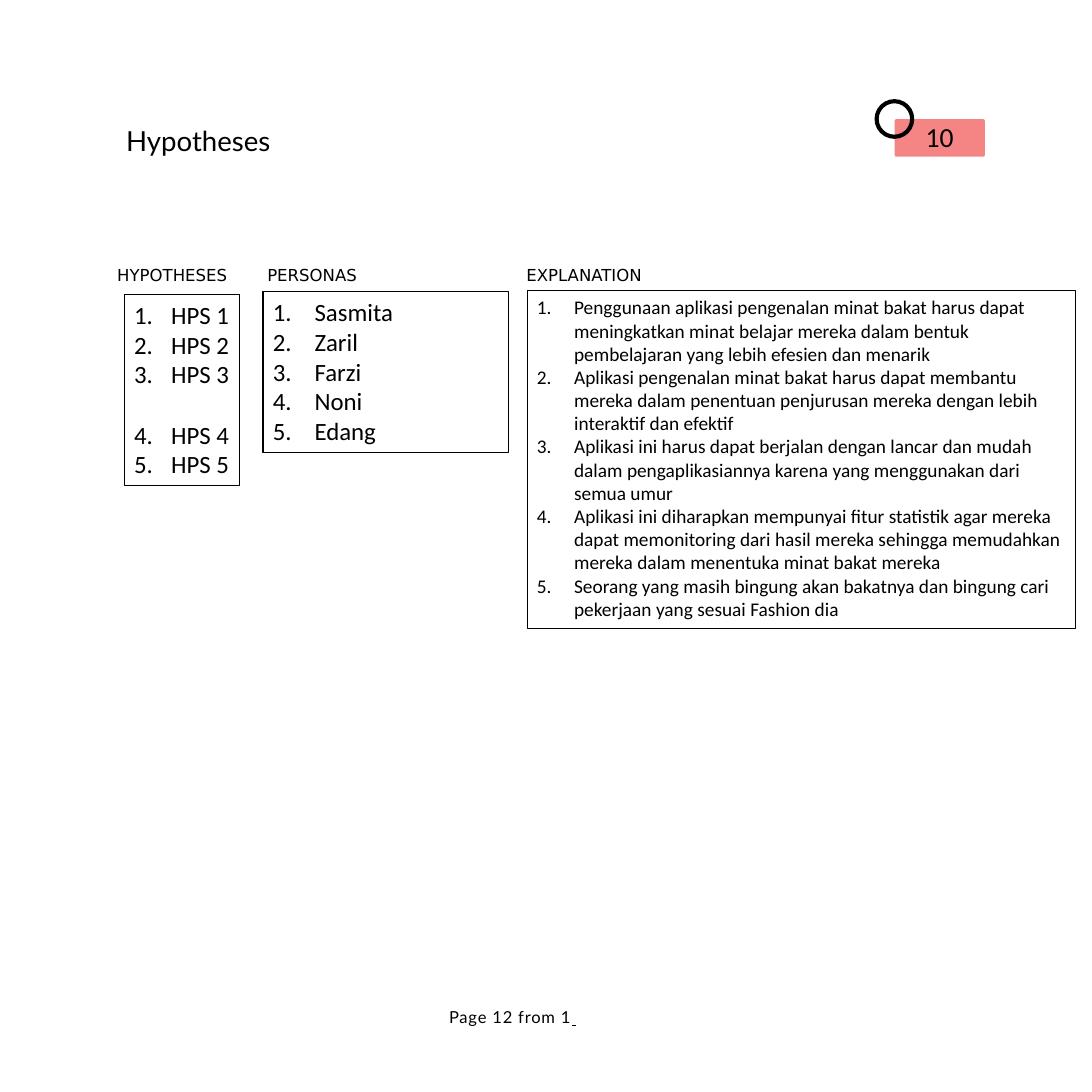
"""Build the Hypotheses slide with its three numbered lists."""
from pptx import Presentation
from pptx.dml.color import RGBColor
from pptx.enum import shapes, text
from pptx.oxml.ns import qn
from pptx.util import Cm, Pt
from lxml import etree

BLACK = RGBColor(0x00, 0x00, 0x00)
CORAL = RGBColor(0xF5, 0x85, 0x85)


def style(para, size, face):
    para.font.size = Pt(size)
    para.font.name = face
    para.font.color.rgb = BLACK


def label(words, left, top, width, height, size, face, inset=0, stop=None):
    frame = slide.shapes.add_textbox(Cm(left), Cm(top), Cm(width), Cm(height)).text_frame
    frame.word_wrap = True
    frame.margin_left = frame.margin_right = frame.margin_bottom = 0
    frame.margin_top = Cm(inset)
    para = frame.paragraphs[0]
    para.text = words
    props = para._p.get_or_add_pPr()
    props.set("marL", str(Cm(0.03)))
    if stop:
        tabs = etree.SubElement(props, qn("a:tabLst"))
        etree.SubElement(tabs, qn("a:tab"), pos=str(Cm(stop)), algn="l")
    style(para, size, face)
    return para


deck = Presentation()
deck.slide_width = deck.slide_height = Cm(27.94)
slide = deck.slides.add_slide(deck.slide_layouts[6])

label("Hypotheses", 3.2, 3.12, 16.51, 0.89, 20, "Lato", 0.05)
label("HYPOTHESES\tPERSONAS", 2.97, 6.76, 6.27, 0.56, 12, "DejaVu Sans", 0.03, 3.84)
label("EXPLANATION", 13.44, 6.76, 3.2, 0.56, 12, "DejaVu Sans", 0.03)

group = slide.shapes.add_group_shape()
badge = group.shapes.add_shape(
    shapes.MSO_SHAPE.ROUNDED_RECTANGLE, Cm(22.89), Cm(3.05), Cm(2.31), Cm(0.96))
badge.adjustments[0] = 0.05
badge.shadow.inherit = False
badge.fill.solid()
badge.fill.fore_color.rgb = CORAL
badge.line.fill.background()
frame = badge.text_frame
frame.margin_left = frame.margin_top = frame.margin_right = frame.margin_bottom = 0
frame.vertical_anchor = text.MSO_ANCHOR.TOP
frame.text = "10"
frame.paragraphs[0].alignment = text.PP_ALIGN.CENTER
style(frame.paragraphs[0], 20, "Calibri")

ring = group.shapes.add_shape(
    shapes.MSO_SHAPE.OVAL, Cm(22.43), Cm(2.59), Cm(0.91), Cm(0.91))
ring.shadow.inherit = False
ring.fill.background()
ring.line.color.rgb = BLACK
ring.line.width = Pt(3)

codes = [f"HPS {n}" for n in range(1, 6)]
names = ["Sasmita", "Zaril", "Farzi", "Noni", "Edang"]
notes = [
    "Penggunaan aplikasi pengenalan minat bakat harus dapat meningkatkan minat "
    "belajar mereka dalam bentuk pembelajaran yang lebih efesien dan menarik",
    "Aplikasi pengenalan minat bakat harus dapat membantu mereka dalam penentuan "
    "penjurusan mereka dengan lebih interaktif dan efektif",
    "Aplikasi ini harus dapat berjalan dengan lancar dan mudah dalam "
    "pengaplikasiannya karena yang menggunakan dari semua umur",
    "Aplikasi ini diharapkan mempunyai fitur statistik agar mereka dapat memonitoring "
    "dari hasil mereka sehingga memudahkan mereka dalam menentuka minat bakat mereka",
    "Seorang yang masih bingung akan bakatnya dan bingung cari pekerjaan yang "
    "sesuai Fashion dia",
]
lists = [
    (codes, 3.18, 7.54, 2.95, 4.88, 18, 0.95),
    (names, 6.73, 7.47, 6.27, 4.11, 18, 1.07),
    (notes, 13.49, 7.44, 14.02, 8.64, 14, 0.95),
]
for items, left, top, width, height, size, indent in lists:
    box = slide.shapes.add_shape(
        shapes.MSO_SHAPE.RECTANGLE, Cm(left), Cm(top), Cm(width), Cm(height))
    box.shadow.inherit = False
    box.fill.background()
    box.line.color.rgb = BLACK
    box.line.width = Pt(0.75)
    frame = box.text_frame
    frame.vertical_anchor = text.MSO_ANCHOR.TOP
    frame.text = "\n".join(items)
    for para in frame.paragraphs:
        para.alignment = text.PP_ALIGN.LEFT
        if para.text == "HPS 3":
            para.space_after = Pt(22)
        props = para._p.get_or_add_pPr()
        props.set("marL", str(Cm(indent)))
        props.set("indent", str(-Cm(indent)))
        etree.SubElement(props, qn("a:buFont"), typeface="+mj-lt")
        etree.SubElement(props, qn("a:buAutoNum"), type="arabicPeriod")
        style(para, size, "Calibri")

foot = label("Page 12 from 1\t", 11.46, 25.78, 3.58, 0.51, 12, "Lato", stop=3.15)
foot.line_spacing = Pt(14.1)
foot.runs[0].font._element.set("spc", "60")
blank = foot.add_run()
blank.text = " "
blank.font.name = "Times New Roman"
blank.font.underline = True

deck.save("out.pptx")
